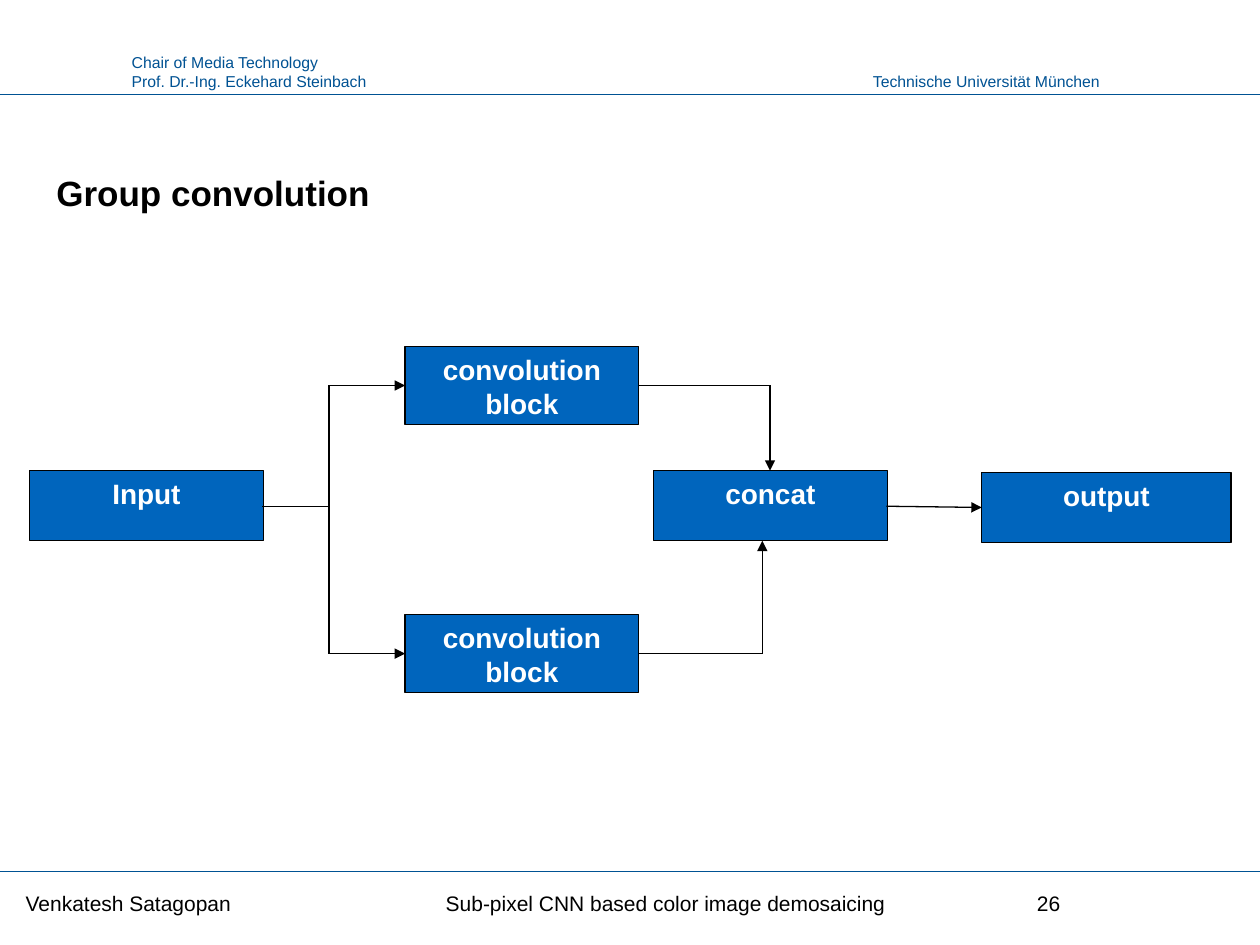
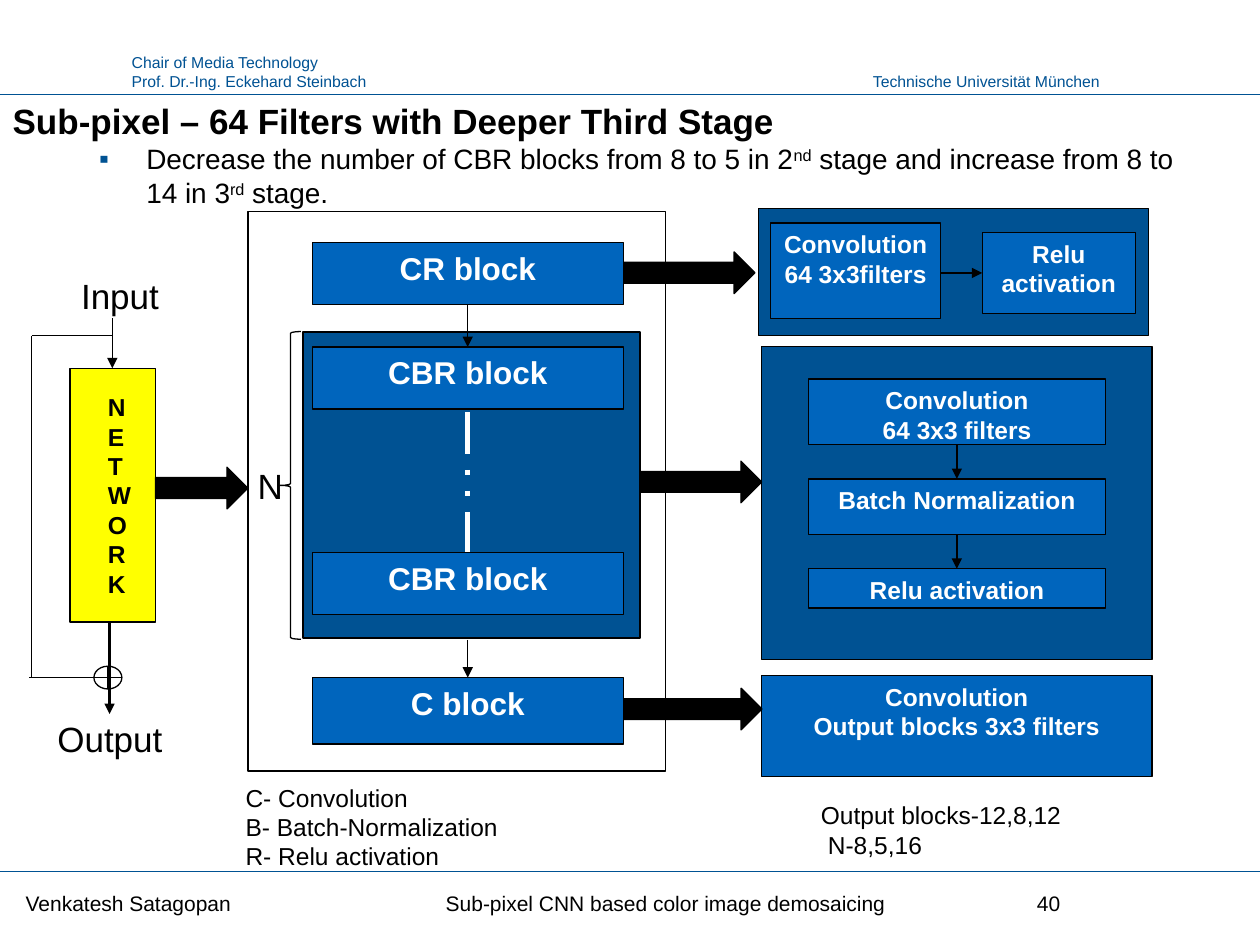
from lxml import etree
from pptx import Presentation
from pptx.dml.color import RGBColor
from pptx.enum.dml import MSO_LINE
from pptx.enum.shapes import MSO_CONNECTOR, MSO_SHAPE as SHAPE
from pptx.enum.text import MSO_ANCHOR as ANCHOR, MSO_AUTO_SIZE, PP_ALIGN as ALIGN
from pptx.oxml.ns import qn
from pptx.util import Pt

# Colours
DARK_BLUE = RGBColor(0x00, 0x52, 0x93)
BLUE = RGBColor(0x00, 0x65, 0xBD)
YELLOW = RGBColor(0xFF, 0xFF, 0x00)
BLACK = RGBColor(0, 0, 0)
WHITE = RGBColor(0xFF, 0xFF, 0xFF)

# Slide size and layout
SLIDE_W, SLIDE_H = 720, 540
TITLE_ONLY = 5

# Text formats
HEADER = dict(size=9, color=DARK_BLUE)
FOOTER = dict(size=12, color=BLACK)
TITLE = dict(size=20, color=BLACK, bold=True)
LABEL = dict(size=20, color=BLACK)
BODY = dict(size=16, color=BLACK)
NOTE = dict(size=14, color=BLACK)
LETTER = dict(size=14, color=BLACK, bold=True)
BOX16, BOX14, BOX18 = (dict(size=n, color=WHITE, bold=True) for n in (16, 14, 18))


def set_font(font, fmt):
    values = dict(fmt, name="Arial", size=Pt(fmt["size"]))
    font.color.rgb = values.pop("color")
    for key, value in values.items():
        setattr(font, key, value)


def write(tf, text, fmt, align=ALIGN.LEFT, anchor=ANCHOR.TOP, wrap=True):
    frame_format = dict(word_wrap=wrap, vertical_anchor=anchor,
                        auto_size=MSO_AUTO_SIZE.NONE)
    for key, value in frame_format.items():
        setattr(tf, key, value)
    for i, line in enumerate(text.split("\n")):
        p = tf.paragraphs[0] if i == 0 else tf.add_paragraph()
        p.alignment = align
        r = p.add_run()
        r.text = line
        set_font(r.font, fmt)
    return tf


def place(sp, left, top, width, height):
    for key, value in dict(left=left, top=top, width=width, height=height).items():
        setattr(sp, key, Pt(value))


def add_text(s, at, text, fmt, **layout):
    sp = s.shapes.add_textbox(*map(Pt, at))
    return write(sp.text_frame, text, fmt, **layout)


def add_title(s, at, text):
    sp = s.shapes.title
    place(sp, *at)
    write(sp.text_frame, text, TITLE)


def add_box(s, at, fill=BLUE, text=None, fmt=BOX16, kind=SHAPE.RECTANGLE):
    sp = s.shapes.add_shape(kind, *map(Pt, at))
    sp.shadow.inherit = False
    sp.fill.solid()
    sp.fill.fore_color.rgb = fill
    sp.line.color.rgb = BLACK
    sp.line.width = Pt(0.75)
    if text:
        write(sp.text_frame, text, fmt, align=ALIGN.CENTER)


def add_line(s, x1, y1, x2, y2, color=BLACK, width=0.75, arrow=False, dash=None):
    cn = s.shapes.add_connector(MSO_CONNECTOR.STRAIGHT, *map(Pt, (x1, y1, x2, y2)))
    cn.line.color.rgb = color
    cn.line.width = Pt(width)
    if dash:
        cn.line.dash_style = dash
    if arrow:
        etree.SubElement(cn.line._get_or_add_ln(), qn("a:tailEnd"), type="triangle")
    etree.SubElement(cn._element.spPr, qn("a:effectLst"))


def add_path(s, *points, arrow=True):
    """Straight segments through the points, with the arrowhead on the last."""
    for i, (a, b) in enumerate(zip(points, points[1:]), start=2):
        add_line(s, *a, *b, arrow=arrow and i == len(points))


def add_bullet(s, at, parts):
    """One square-bulleted paragraph; every second part is superscript."""
    tf = add_text(s, at, parts[0], BODY)
    p = tf.paragraphs[0]
    pPr = p._p.get_or_add_pPr()
    pPr.set("marL", str(Pt(63)))
    pPr.set("indent", str(-Pt(27)))
    color = etree.SubElement(pPr, qn("a:buClr"))
    etree.SubElement(color, qn("a:srgbClr"), val=str(DARK_BLUE))
    etree.SubElement(pPr, qn("a:buFont"), typeface="Arial")
    etree.SubElement(pPr, qn("a:buChar"), char="▪")
    for i, part in enumerate(parts[1:], start=1):
        r = p.add_run()
        r.text = part
        set_font(r.font, BODY)
        if i % 2:
            r.font._element.set("baseline", "30000")


def new_slide(prs, number):
    """Slide with the shared header, rules and footer."""
    s = prs.slides.add_slide(prs.slide_layouts[TITLE_ONLY])
    add_text(s, (490, 37.5, 145.5, 18), "Technische Universität München", HEADER,
             align=ALIGN.RIGHT, wrap=False)
    add_text(s, (68.2, 26.5, 150, 29),
             "Chair of Media Technology\nProf. Dr.-Ing. Eckehard Steinbach",
             HEADER, wrap=False)
    for y in (54, 498):
        add_line(s, 0, y, SLIDE_W, y, color=DARK_BLUE)
    for left, width, text in ((7.6, 200, "Venkatesh Satagopan"),
                              (247.6, 320, "Sub-pixel CNN based color image demosaicing"),
                              (585.5, 94, str(number))):
        add_text(s, (left, 504, width, 24), text, FOOTER, anchor=ANCHOR.MIDDLE)
    return s


def group_convolution(prs):
    s = new_slide(prs, 26)
    add_title(s, (25, 94.5, 264, 32), "Group convolution")

    # Blocks
    width, mid_y, top_y, low_y = 133.5, 289.5, 220.3, 373.5
    add_box(s, (17, 269, width, 40), text="Input")
    add_box(s, (373.5, 269, width, 40), text="concat")
    add_box(s, (561, 270, 142.5, 40), text="output")
    for y in (top_y, low_y):
        add_box(s, (231.5, y - 22.3, width, 44.6), text="convolution block")

    # Split, merge and result
    add_path(s, (150, mid_y), (188, mid_y), arrow=False)
    for y, merge_x, merge_y in ((top_y, 440, 269), (low_y, 435.6, 309)):
        add_path(s, (188, mid_y), (188, y), (231.5, y))
        add_path(s, (365, y), (merge_x, y), (merge_x, merge_y))
    add_path(s, (506.5, 289.3), (561, 290))


def network_column(s):
    add_box(s, (40, 210.5, 49, 145), YELLOW)
    add_text(s, (54.5, 220.5, 34, 126), "\n".join("NETWORK"), LETTER)
    add_text(s, (18, 153.5, 80, 32), "Input", LABEL, align=ALIGN.RIGHT)
    add_text(s, (23.8, 406.5, 76.2, 32), "Output", LABEL, align=ALIGN.RIGHT)
    add_box(s, (53.7, 380.7, 16, 13), WHITE, kind=SHAPE.FLOWCHART_OR)
    add_line(s, 62.6, 356, 62.6, 408, width=1.75, arrow=True)
    # Skip connection
    add_path(s, (64.2, 182), (64.2, 210.5))
    add_path(s, (64.2, 191.8), (18.2, 191.8), (18.2, 387.3), (70, 387.3), arrow=False)
    add_line(s, 16.6, 387.3, 18.2, 387.3)


def detail_panels(s):
    # CR block
    add_box(s, (433.3, 119.3, 223, 72.5), DARK_BLUE)
    add_box(s, (440.3, 127.5, 97.3, 54.5), text="Convolution\n64 3x3filters", fmt=BOX14)
    add_box(s, (561.3, 133, 87.5, 46), text="Relu activation", fmt=BOX14)
    add_path(s, (537.6, 156), (561.3, 156))
    # CBR block
    add_box(s, (435.3, 198.2, 223, 178.5), DARK_BLUE)
    for top, height, text in ((216.5, 37.5, "Convolution\n64 3x3 filters"),
                              (273.7, 31.7, "Batch Normalization"),
                              (325, 22.5, "Relu activation")):
        add_box(s, (462.2, top, 169.5, height), text=text, fmt=BOX14)
    for y1, y2 in ((254, 273.7), (305.4, 325)):
        add_path(s, (546.8, y1), (546.8, y2))
    # C block
    add_box(s, (435.3, 386.2, 223, 57.5),
            text="Convolution\nOutput blocks 3x3 filters", fmt=BOX14)


def stage_stack(s):
    add_box(s, (141.7, 121, 238.5, 319.7), WHITE)
    add_box(s, (173.2, 189.7, 192.5, 175), DARK_BLUE)
    for top, height, text in ((138.6, 35.4, "CR block"), (198.3, 35.4, "CBR block"),
                              (315.8, 35.4, "CBR block"), (387.2, 38, "C block")):
        add_box(s, (178.5, top, 177.7, height), text=text, fmt=BOX18)
    for y1, y2 in ((174, 198.3), (365.7, 387.2)):
        add_path(s, (267.3, y1), (267.3, y2))
    add_line(s, 267.3, 235.5, 267.3, 315.5, color=WHITE, width=3,
             dash=MSO_LINE.DASH_DOT_DOT)
    add_box(s, (160, 189.5, 12, 175.8), WHITE, kind=SHAPE.LEFT_BRACE)
    add_text(s, (140.2, 262, 22, 32), "N", LABEL, wrap=False)


def deeper_third_stage(prs):
    s = new_slide(prs, 40)
    add_title(s, (0, 53.5, 464, 32), "Sub-pixel – 64 Filters with Deeper Third Stage")
    network_column(s)
    detail_panels(s)
    stage_stack(s)

    # Block arrows between the columns
    for left, top, width in ((356.4, 144, 75), (365.8, 263.5, 69.5),
                             (356.4, 393.3, 79), (88.8, 267, 52.8)):
        add_box(s, (left, top, width, 23.8), BLACK, kind=SHAPE.RIGHT_ARROW)

    # Legends and statement
    add_text(s, (133.2, 443.7, 223, 58),
             "C- Convolution\nB- Batch-Normalization\nR- Relu activation", NOTE)
    tf = add_text(s, (462, 453.8, 223, 41), "Output blocks-12,8,12\nN-8,5,16", NOTE)
    tf.paragraphs[1]._p.get_or_add_pPr().set("marL", str(Pt(4)))
    add_bullet(s, (13.5, 77.5, 671, 46),
               ["Decrease the number of CBR blocks from 8 to 5 in 2", "nd",
                " stage and increase from 8 to 14 in 3", "rd", " stage."])


def main():
    prs = Presentation()
    prs.slide_width, prs.slide_height = Pt(SLIDE_W), Pt(SLIDE_H)
    group_convolution(prs)
    deeper_third_stage(prs)
    prs.save("out.pptx")


if __name__ == "__main__":
    main()
